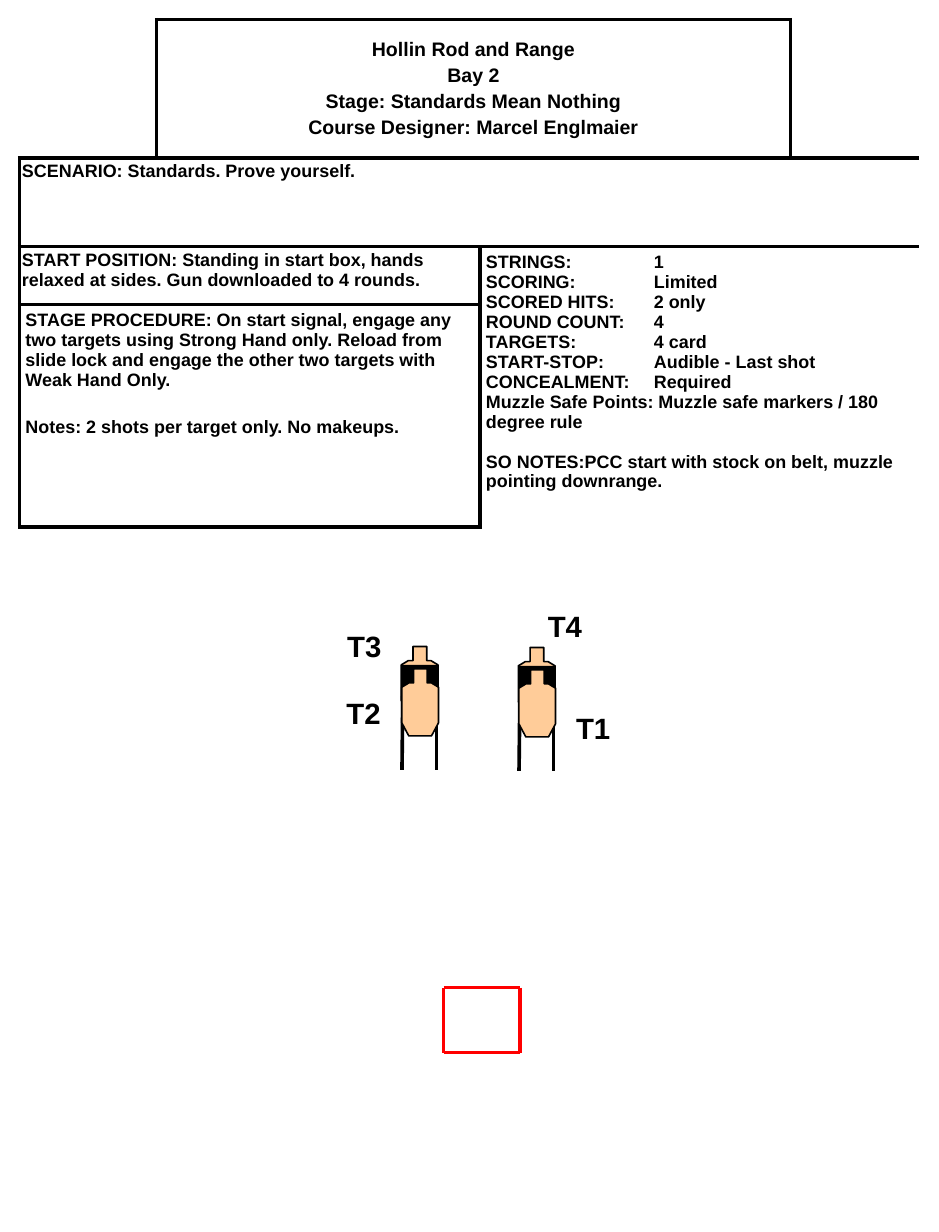
from itertools import product
from lxml.etree import SubElement
from pptx import Presentation
from pptx.dml.color import RGBColor
from pptx.enum.shapes import MSO_CONNECTOR
from pptx.enum.text import MSO_ANCHOR, PP_ALIGN
from pptx.oxml import parse_xml
from pptx.oxml.ns import nsdecls, qn
from pptx.util import Pt

COLOURS = {"ink": "000000", "paper": "FFFFFF", "card": "FFCC99", "box": "FF0000"}
FONT = "Arial"

# Stage briefing: each block is (first cell, last cell, format, paragraphs);
# a paragraph is (text, space before)
COLUMNS = [84, 198.5, 190.5, 79]
ROWS = [85, 54.5, 35.5, 136.5]
TABLE_LEFT, TABLE_TOP = 12, 12
VALUE_TAB = 103
HEADING = [
    ("Hollin Rod and Range", 0),
    ("Bay 2", 2.4),
    ("Stage: Standards Mean Nothing", 2.4),
    ("Course Designer: Marcel Englmaier", 2.4),
]
SCENARIO = [("SCENARIO: Standards. Prove yourself.", 0)]
START = [("START POSITION: Standing in start box, hands relaxed at sides. "
          "Gun downloaded to 4 rounds.", 0)]
FACTS = [
    ("STRINGS:\t1", 0),
    ("SCORING:\tLimited", 0),
    ("SCORED HITS:\t2 only", 0),
    ("ROUND COUNT:\t4", 0),
    ("TARGETS:\t4 card", 0),
    ("START-STOP:\tAudible - Last shot", 0),
    ("CONCEALMENT:\tRequired", 0),
    ("Muzzle Safe Points: Muzzle safe markers / 180 degree rule", 0),
    ("SO NOTES:PCC start with stock on belt, muzzle pointing downrange.", 12),
]
PROCEDURE = [
    ("STAGE PROCEDURE: On start signal, engage any two targets using Strong Hand only. "
     "Reload from slide lock and engage the other two targets with Weak Hand Only.", 0),
    ("Notes: 2 shots per target only. No makeups.", 16.5),
]
WIDE = {"inset": (3.6, 3.6)}
BLOCKS = [
    ((0, 0), (0, 0), {"open": "LT", **WIDE}, []),
    ((0, 1), (0, 2), {"size": 12, "centred": True, **WIDE}, HEADING),
    ((0, 3), (0, 3), {"open": "RT", **WIDE}, []),
    ((1, 0), (1, 3), {"inset": (1.5, 2.9), "spacing": 0.9}, SCENARIO),
    ((2, 0), (2, 1), {"inset": (1.5, 2.2)}, START),
    ((2, 2), (3, 3), WIDE, FACTS),
    ((3, 0), (3, 1), WIDE, PROCEDURE),
]

# Range layout
STANDS = [(318, 397.3), (246.2, 396.7)]
LEGS = [(0.9, 0.4), (21.6, 21.6)]
LEG_TOP, LEG_BOTTOM = 30.4, 75.8
BODY = [(22.5, 11.3), (22.5, 33.2), (18.2, 41.2), (4.3, 41.2), (0, 33.2), (0, 11.3)]
SILHOUETTE = [(7.2, 0), (15.6, 0), (15.6, 8.7), (18.2, 8.7), *BODY, (4.3, 8.7), (7.2, 8.7)]
FRONT_SHIFT = (0.3, 13.7)
LABELS = {"T4": (329, 369.4), "T3": (205.9, 381.8), "T2": (205.4, 423), "T1": (346.3, 432)}
LABEL_SIZE = (41.8, 28.8)
START_BOX = (272.2, 606, 319, 646)  # left, top, right, bottom


def colour(name):
    return RGBColor.from_string(COLOURS[name])


def style_font(para, size):
    para.font.name = FONT
    para.font.size = Pt(size)
    para.font.bold = True
    para.font.color.rgb = colour("ink")


def set_borders(cell, sides):
    """Draw the named sides of a cell; the others stay empty."""
    properties = cell._tc.get_or_add_tcPr()
    for index, side in enumerate("LRTB"):
        paint = (f'<a:solidFill><a:srgbClr val="{COLOURS["ink"]}"/></a:solidFill>'
                 if side in sides else "<a:noFill/>")
        properties.insert(index, parse_xml(
            f'<a:ln{side} {nsdecls("a")} w="{Pt(2.25)}">{paint}</a:ln{side}>'))


def add_tab(para, position):
    tabs = SubElement(para._p.get_or_add_pPr(), qn("a:tabLst"))
    SubElement(tabs, qn("a:tab"), pos=str(Pt(position)), algn="l")


def fill_block(table, first, last, look, paragraphs):
    (top, left), (bottom, right) = first, last
    for row, column in product(range(top, bottom + 1), range(left, right + 1)):
        cell = table.cell(row, column)
        cell.fill.solid()
        cell.fill.fore_color.rgb = colour("paper")
        edges = {"L": column == left, "R": column == right, "T": row == top, "B": row == bottom}
        set_borders(cell, [side for side, outer in edges.items()
                           if outer and side not in look.get("open", "")])
    cell = table.cell(*first)
    if first != last:
        cell.merge(table.cell(*last))
    cell.margin_left = cell.margin_right = Pt(look["inset"][0])
    cell.margin_top = cell.margin_bottom = Pt(look["inset"][1])
    centred = look.get("centred", False)
    cell.vertical_anchor = MSO_ANCHOR.MIDDLE if centred else MSO_ANCHOR.TOP
    for index, (text, before) in enumerate(paragraphs):
        para = cell.text_frame.add_paragraph() if index else cell.text_frame.paragraphs[0]
        para.text = text
        para.alignment = PP_ALIGN.CENTER if centred else PP_ALIGN.LEFT
        para.space_before = Pt(before)
        if "spacing" in look:
            para.line_spacing = look["spacing"]
        if "\t" in text:
            add_tab(para, VALUE_TAB)
        style_font(para, look.get("size", 11))


def add_line(shapes, start, end, ink, width):
    line = shapes.add_connector(MSO_CONNECTOR.STRAIGHT, *map(Pt, start + end))
    line.line.color.rgb = colour(ink)
    line.line.width = Pt(width)
    SubElement(line._element.spPr, qn("a:effectLst"))


def add_outline(shapes, points, origin, fill, outlined=True):
    placed = [(Pt(origin[0] + x), Pt(origin[1] + y)) for x, y in points]
    builder = shapes.build_freeform(*placed[0])
    builder.add_line_segments(placed[1:], close=True)
    shape = builder.convert_to_shape()
    shape.shadow.inherit = False
    shape.fill.solid()
    shape.fill.fore_color.rgb = colour(fill)
    if outlined:
        shape.line.color.rgb = colour("ink")
        shape.line.width = Pt(1)
    else:
        shape.line.fill.background()


def add_stand(page, left, top):
    shapes = page.shapes.add_group_shape().shapes
    for upper, lower in LEGS:
        add_line(shapes, (left + upper, top + LEG_TOP), (left + lower, top + LEG_BOTTOM),
                 "ink", 2.25)
    add_outline(shapes, SILHOUETTE, (left, top), "card")
    add_outline(shapes, BODY, (left, top), "ink", outlined=False)
    add_outline(shapes, SILHOUETTE, (left + FRONT_SHIFT[0], top + FRONT_SHIFT[1]), "card")


def main():
    deck = Presentation()
    deck.slide_width, deck.slide_height = Pt(576), Pt(756)
    page = deck.slides.add_slide(deck.slide_layouts[6])

    # Briefing table
    table = page.shapes.add_table(len(ROWS), len(COLUMNS), Pt(TABLE_LEFT), Pt(TABLE_TOP),
                                  Pt(sum(COLUMNS)), Pt(sum(ROWS))).table
    table.first_row = table.horz_banding = False
    for column, width in zip(table.columns, COLUMNS):
        column.width = Pt(width)
    for row, height in zip(table.rows, ROWS):
        row.height = Pt(height)
    for block in BLOCKS:
        fill_block(table, *block)

    # Target stands
    for stand in STANDS:
        add_stand(page, *stand)

    # Start box
    left, top, right, bottom = START_BOX
    corners = [(left, top), (right, top), (right, bottom), (left, bottom)]
    for start, end in zip(corners, corners[1:] + corners[:1]):
        add_line(page.shapes, start, end, "box", 2)

    # Target labels
    for name, place in LABELS.items():
        box = page.shapes.add_textbox(*map(Pt, place + LABEL_SIZE))
        box.text_frame.word_wrap = True
        para = box.text_frame.paragraphs[0]
        para.text = name
        style_font(para, 18)

    deck.save("out.pptx")


if __name__ == "__main__":
    main()
